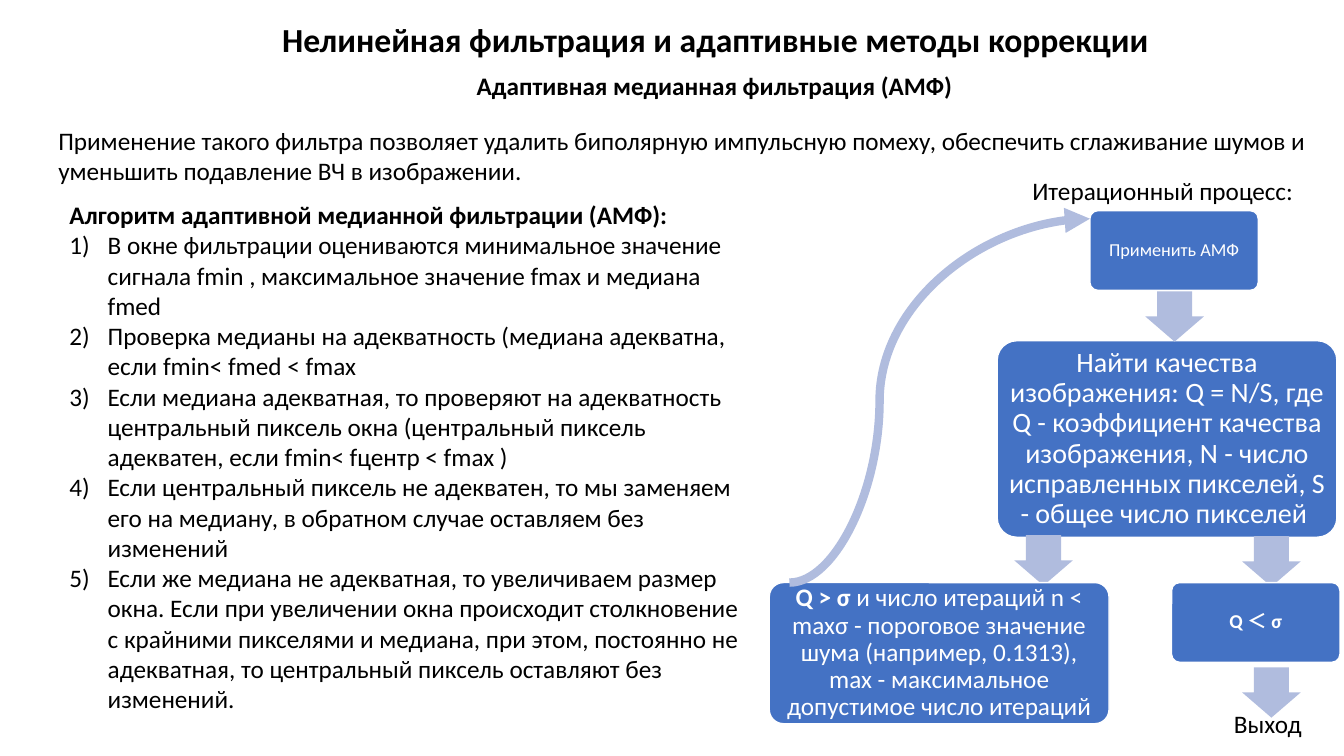
from typing import NamedTuple

from lxml.etree import SubElement
from pptx import Presentation
from pptx.dml.color import RGBColor
from pptx.enum.shapes import MSO_CONNECTOR as Link, MSO_SHAPE as Shape
from pptx.enum.text import MSO_ANCHOR as Anchor, MSO_AUTO_SIZE as Fit, PP_ALIGN as Align
from pptx.oxml.ns import qn
from pptx.util import Inches, Pt

BLACK, WHITE, BLUE, PALE = "000000", "FFFFFF", "4472C4", "B0BCDE"
FONT = "Calibri"


class Label(NamedTuple):
    text: str
    left: float
    top: float
    width: float
    height: float
    size: int = 18
    bold: bool = False
    wrap: bool = True


class Box(NamedTuple):
    runs: list[tuple[str, bool]]
    left: float
    top: float
    width: float
    height: float
    size: int


class Arrow(NamedTuple):
    left: float
    top: float


LABELS = [
    Label("Адаптивная медианная фильтрация (АМФ)", 4.63, 0.65, 4.97, 0.4, 18, True, False),
    Label("Нелинейная фильтрация и адаптивные методы коррекции",
          2.7, 0.14, 8.88, 0.5, 24, True, False),
    Label("Применение такого фильтра позволяет удалить биполярную импульсную помеху, "
          "обеспечить сглаживание шумов и уменьшить подавление ВЧ в изображении.",
          0.48, 1.19, 12.63, 0.71),
    Label("Итерационный процесс:", 10.14, 1.69, 3.15, 0.4),
    Label("Выход", 12.14, 6.98, 1.15, 0.4),
]
HEAD = Label("Алгоритм адаптивной медианной фильтрации (АМФ):",
             0.59, 1.93, 6.96, 5.25, 18, True)
STEPS = [
    "В окне фильтрации оцениваются минимальное значение сигнала fmin , "
    "максимальное значение fmax и медиана fmed",
    "Проверка медианы на адекватность (медиана адекватна, если fmin< fmed < fmax",
    "Если медиана адекватная, то проверяют на адекватность центральный пиксель окна "
    "(центральный пиксель адекватен, если fmin< fцентр < fmax )",
    "Если центральный пиксель не адекватен, то мы заменяем его на медиану, "
    "в обратном случае оставляем без изменений",
    "Если же медиана не адекватная, то увеличиваем размер окна. Если при увеличении окна "
    "происходит столкновение с крайними пикселями и медиана, при этом, постоянно не "
    "адекватная, то центральный пиксель оставляют без изменений.",
]
# Flow parts from back to front
FLOW = [
    Box([("Применить АМФ", False)], 10.81, 2.09, 1.67, 0.79, 13),
    Box([("Найти качества изображения: Q = N/S, где Q - коэффициент качества изображения, "
          "N - число исправленных пикселей, S - общее число пикселей ", False)],
        9.89, 3.38, 3.37, 1.95, 20),
    Arrow(10.06, 5.31),
    Box([("Q > σ", True),
         (" и число итераций n < maxσ - пороговое значение шума (например, 0.1313), "
          "max - максимальное допустимое число итераций", False)],
        7.63, 5.78, 3.37, 1.4, 18),
    Arrow(12.32, 5.32),
    Arrow(11.36, 2.89),
    Box([("Q ＜ σ", True)], 11.62, 5.78, 1.67, 0.79, 14),
    Arrow(12.32, 6.62),
]


def color(code: str) -> RGBColor:
    return RGBColor.from_string(code)


def style(para, size: int, code: str, bold: bool | None = None) -> None:
    font = para.font
    font.name, font.size, font.bold = FONT, Pt(size), bold
    font.color.rgb = color(code)


def add_label(slide, item: Label):
    place = map(Inches, (item.left, item.top, item.width, item.height))
    frame = slide.shapes.add_textbox(*place).text_frame
    frame.word_wrap = item.wrap
    frame.auto_size = Fit.SHAPE_TO_FIT_TEXT
    para = frame.paragraphs[0]
    para.text = item.text
    style(para, item.size, BLACK, item.bold)
    return frame


def add_step(frame, text: str) -> None:
    para = frame.add_paragraph()
    para.text = text
    props = para._p.get_or_add_pPr()
    props.set("marL", str(Inches(0.38)))
    props.set("indent", str(Inches(-0.38)))
    SubElement(props, qn("a:buAutoNum"), type="arabicParenR")
    style(para, 18, BLACK, False)


def add_block(slide, kind: Shape, place: tuple, fill: str):
    block = slide.shapes.add_shape(kind, *map(Inches, place))
    block.shadow.inherit = False
    block.fill.solid()
    block.fill.fore_color.rgb = color(fill)
    return block


def add_box(slide, box: Box) -> None:
    place = (box.left, box.top, box.width, box.height)
    block = add_block(slide, Shape.ROUNDED_RECTANGLE, place, BLUE)
    block.adjustments[0] = 0.1
    block.line.color.rgb = color(WHITE)
    block.line.width = Pt(1)
    frame = block.text_frame
    frame.word_wrap = True
    frame.vertical_anchor = Anchor.MIDDLE
    # Rounded corners already inset the text a little
    inset = Inches(0.1 - 0.03 * min(box.width, box.height))
    frame.margin_left = frame.margin_right = inset
    frame.margin_top = frame.margin_bottom = inset
    para = frame.paragraphs[0]
    para.alignment, para.line_spacing = Align.CENTER, 0.9
    style(para, box.size, WHITE)
    for text, bold in box.runs:
        run = para.add_run()
        run.text, run.font.bold = text, bold


def add_arrow(slide, arrow: Arrow) -> None:
    block = add_block(slide, Shape.DOWN_ARROW, (arrow.left, arrow.top, 0.58, 0.5), PALE)
    block.adjustments[0], block.adjustments[1] = 0.6, 0.5
    block.line.fill.background()


def add_loop(slide) -> None:
    ends = map(Inches, (7.83, 5.78, 10.81, 2.17))
    loop = slide.shapes.add_connector(Link.CURVE, *ends)
    loop.line.color.rgb = color(PALE)
    loop.line.width = Pt(6)
    props = loop._element.spPr
    bend = props.find(qn("a:prstGeom")).find(qn("a:avLst"))
    SubElement(bend, qn("a:gd"), name="adj1", fmla="val 30000")
    SubElement(props.find(qn("a:ln")), qn("a:tailEnd"), type="triangle")
    SubElement(props, qn("a:effectLst"))


def main() -> None:
    deck = Presentation()
    deck.slide_width, deck.slide_height = Inches(13.33), Inches(7.5)
    slide = deck.slides.add_slide(deck.slide_layouts[6])

    # Headings and the algorithm
    for item in LABELS:
        add_label(slide, item)
    frame = add_label(slide, HEAD)
    for text in STEPS:
        add_step(frame, text)

    # Iteration flow
    for part in FLOW:
        if isinstance(part, Box):
            add_box(slide, part)
        else:
            add_arrow(slide, part)
    add_loop(slide)

    deck.save("out.pptx")


if __name__ == "__main__":
    main()
